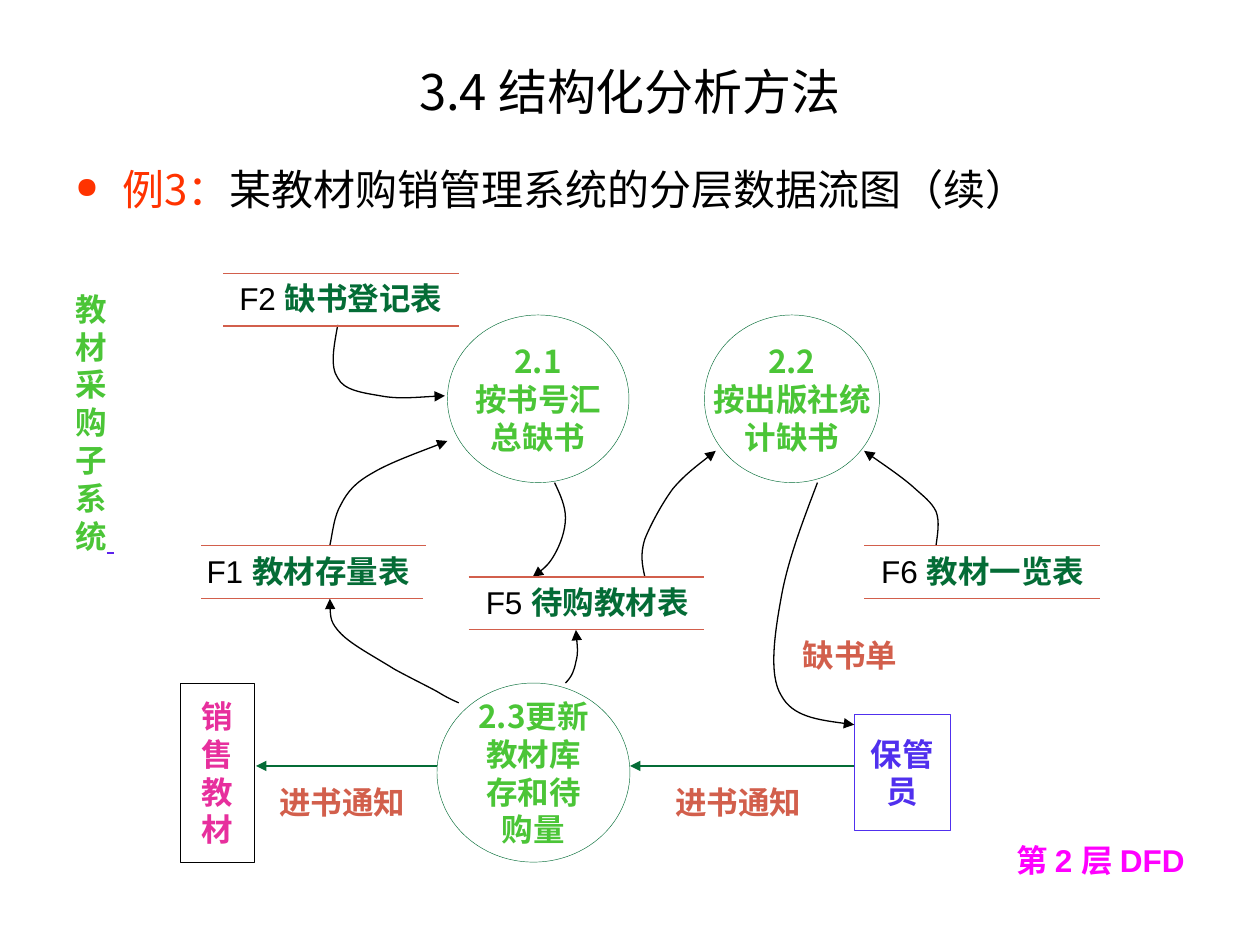
import dataclasses

import pptx
import pptx.dml.color
import pptx.enum.shapes
import pptx.enum.text
import pptx.oxml
import pptx.oxml.ns
import pptx.util

Cm = pptx.util.Cm
Align = pptx.enum.text.PP_ALIGN
Anchor = pptx.enum.text.MSO_ANCHOR
Preset = pptx.enum.shapes.MSO_SHAPE


@dataclasses.dataclass(frozen=True)
class Theme:
    latin: str = "Arial"
    chinese: str = "Noto Sans CJK SC"
    title_size: int = 28
    body_size: int = 24
    label_size: int = 18
    hairline: float = 0.25
    line: float = 0.75
    black: str = "000000"
    white: str = "FFFFFF"
    process: str = "4BC537"
    store: str = "046C36"
    flow: str = "D25F4C"
    sales: str = "E72F9D"
    keeper: str = "5030EE"
    underline: str = "5C22EC"
    layer: str = "FF00FF"
    accent: str = "FF3300"


THEME = Theme()

TITLE = "3.4 结构化分析方法"
EXAMPLE = [("例3：", THEME.accent), ("某教材购销管理系统的分层数据流图（续）", THEME.black)]
SUBSYSTEM = "教材采购子系统"
LAYER = "第 2 层 DFD"

# preset, (left, top, width, height), outline, text colour, lines
NODES = [
    (Preset.OVAL, (8.81, 13.77, 3.89, 3.61), THEME.store, THEME.process,
     ["2.3更新", "教材库", "存和待", "购量"]),
    (Preset.RECTANGLE, (3.63, 13.77, 1.5, 3.61), THEME.black, THEME.sales,
     ["销", "售", "教", "材"]),
    (Preset.OVAL, (9.02, 6.35, 3.66, 3.38), THEME.store, THEME.process,
     ["2.1", "按书号汇", "总缺书"]),
    (Preset.OVAL, (14.2, 6.35, 3.53, 3.38), THEME.store, THEME.process,
     ["2.2", "按出版社统", "计缺书"]),
    (Preset.RECTANGLE, (17.22, 14.4, 1.93, 2.34), THEME.keeper, THEME.keeper,
     ["保管", "员"]),
]

# code, name, left, top, upper line, lower line, text centre
STORES = [
    ("F1", "教材存量表", 4.06, 11, 4.52, 4.47, 6.21),
    ("F5", "待购教材表", 9.45, 11.63, 4.75, 4.75, 11.84),
    ("F6", "教材一览表", 17.42, 11, 4.75, 4.75, 19.81),
    ("F2", "缺书登记表", 4.5, 5.51, 4.75, 4.75, 6.87),
]
STORE_HEIGHT = 1.06
STORE_TEXT_WIDTH = 6.1

FLOW_LABELS = [("缺书单", 15.93, 12.7, 2.41), ("进书通知", 5.38, 15.67, 3.05),
               ("进书通知", 13.36, 15.67, 3.05)]
NOTICE_Y = 15.44
NOTICE_ARROWS = [(8.81, 5.16), (17.22, 12.7)]

# Start point, then two control points and an end point for each curve segment
CURVES = [
    [(6.65, 11), (6.71, 10.72), (6.73, 10.41), (6.88, 10.16), (7.01, 9.91), (7.16, 9.73),
     (7.52, 9.53), (7.87, 9.32), (8.79, 8.99), (9.02, 8.89)],
    [(6.81, 6.55), (6.73, 6.99), (6.65, 7.39), (6.81, 7.62), (6.93, 7.87), (7.32, 7.92),
     (7.67, 7.98), (8.03, 8.05), (8.48, 8), (8.97, 7.98)],
    [(11.18, 9.73), (11.3, 9.98), (11.4, 10.21), (11.4, 10.44), (11.4, 10.69), (11.3, 10.97),
     (11.18, 11.18), (11.07, 11.37), (10.92, 11.51), (10.74, 11.63)],
    [(13, 11.63), (12.95, 11.4), (12.9, 11.18), (13, 10.87), (13.11, 10.59), (13.34, 10.16),
     (13.56, 9.86), (13.79, 9.58), (14.27, 9.22), (14.43, 9.09)],
    [(18.87, 11), (18.9, 10.77), (18.95, 10.52), (18.87, 10.31), (18.77, 10.11), (18.62, 10.01),
     (18.39, 9.8), (18.16, 9.6), (17.6, 9.22), (17.42, 9.09)],
    [(16.48, 9.73), (16.18, 10.52), (15.88, 11.3), (15.75, 12.04), (15.62, 12.75), (15.49, 13.61),
     (15.75, 14.02), (15.98, 14.45), (16.61, 14.53), (17.22, 14.61)],
    [(9.25, 14.17), (9.14, 14.12), (9.02, 14.07), (8.81, 13.94), (8.59, 13.82), (8.28, 13.67),
     (7.95, 13.49), (7.62, 13.28), (7.09, 13), (6.88, 12.78), (6.65, 12.55), (6.65, 12.29),
     (6.65, 12.07)],
    [(11.4, 13.77), (11.53, 13.64), (11.58, 13.51), (11.61, 13.34), (11.66, 13.16),
     (11.63, 12.93), (11.61, 12.7)],
]


def color(value):
    return pptx.dml.color.RGBColor.from_string(value)


def add_element(parent, tag, **attributes):
    element = pptx.oxml.parse_xml(f"<{tag} {pptx.oxml.ns.nsdecls('a')}/>")
    for name, value in attributes.items():
        element.set(name, value)
    parent.append(element)
    return element


def add_run(paragraph, text, run_color, size=THEME.label_size, bold=True, font=THEME.chinese):
    run = paragraph.add_run()
    run.text = text
    run.font.name = font
    run.font.size = pptx.util.Pt(size)
    run.font.bold = bold
    run.font.color.rgb = color(run_color)
    add_element(run.font._element, "a:ea", typeface=THEME.chinese)
    return run


def add_text_box(slide, box, wrap=True, align=Align.LEFT, anchor=Anchor.TOP):
    """Add an empty text box and return its first paragraph."""
    frame = slide.shapes.add_textbox(*map(Cm, box)).text_frame
    frame.word_wrap = wrap
    frame.vertical_anchor = anchor
    frame.paragraphs[0].alignment = align
    return frame.paragraphs[0]


def style_line(shape, line_color, arrow=False):
    shape.line.color.rgb = color(line_color)
    shape.line.width = pptx.util.Pt(THEME.line)
    if arrow:
        add_element(shape.line._get_or_add_ln(), "a:tailEnd", type="triangle")


def add_line(slide, start, end, line_color, arrow=False):
    connector = slide.shapes.add_connector(
        pptx.enum.shapes.MSO_CONNECTOR.STRAIGHT, *map(Cm, (*start, *end)))
    style_line(connector, line_color, arrow)
    add_element(connector._element.spPr, "a:effectLst")


def add_curve(slide, points):
    """Draw a cubic curve by merging each three straight segments into one."""
    start, *rest = [(Cm(x), Cm(y)) for x, y in points]
    builder = slide.shapes.build_freeform(*start)
    builder.add_line_segments(rest, close=False)
    shape = builder.convert_to_shape()
    segments = shape._element.findall(".//" + pptx.oxml.ns.qn("a:lnTo"))
    outline = segments[0].getparent()
    for first in range(0, len(segments), 3):
        curve = add_element(outline, "a:cubicBezTo")
        for segment in segments[first:first + 3]:
            curve.append(segment[0])
            outline.remove(segment)
    shape.fill.background()
    shape.shadow.inherit = False
    style_line(shape, THEME.black, arrow=True)


def add_node(slide, preset, box, outline, text_color, lines):
    shape = slide.shapes.add_shape(preset, *map(Cm, box))
    shape.shadow.inherit = False
    shape.fill.solid()
    shape.fill.fore_color.rgb = color(THEME.white)
    shape.line.color.rgb = color(outline)
    shape.line.width = pptx.util.Pt(THEME.hairline)
    frame = shape.text_frame
    frame.word_wrap = False
    frame.vertical_anchor = Anchor.MIDDLE
    for index, text in enumerate(lines):
        paragraph = frame.add_paragraph() if index else frame.paragraphs[0]
        paragraph.alignment = Align.CENTER
        add_run(paragraph, text, text_color)


def add_store(slide, code, name, left, top, upper, lower, centre):
    for y, width in ((top, upper), (top + STORE_HEIGHT, lower)):
        add_line(slide, (left, y), (left + width, y), THEME.flow)
    box = (centre - STORE_TEXT_WIDTH / 2, top, STORE_TEXT_WIDTH, 1.02)
    paragraph = add_text_box(slide, box, align=Align.CENTER)
    add_run(paragraph, code + " ", THEME.black, bold=False, font=THEME.latin)
    add_run(paragraph, name, THEME.store)


def add_headings(slide):
    paragraph = add_text_box(slide, (1.27, 0.84, 22.86, 1.98), align=Align.CENTER,
                             anchor=Anchor.MIDDLE)
    add_run(paragraph, TITLE, THEME.black, THEME.title_size, bold=False)

    paragraph = add_text_box(slide, (1.27, 3.18, 22.86, 13.77))
    properties = paragraph._p.get_or_add_pPr()
    properties.set("marL", str(Cm(0.95)))
    properties.set("indent", str(-Cm(0.95)))
    add_element(add_element(properties, "a:buClr"), "a:srgbClr", val=THEME.accent)
    add_element(properties, "a:buSzPct", val="70000")
    add_element(properties, "a:buChar", char="●")
    for text, run_color in EXAMPLE:
        add_run(paragraph, text, run_color, THEME.body_size, bold=False)


def main():
    presentation = pptx.Presentation()
    presentation.slide_width, presentation.slide_height = Cm(25.4), Cm(19.05)
    slide = presentation.slides.add_slide(presentation.slide_layouts[6])

    paragraph = add_text_box(slide, (1.27, 5.72, 1.57, 5.59))
    add_run(paragraph, SUBSYSTEM, THEME.process)
    add_run(paragraph, " ", THEME.underline).font.underline = True
    paragraph = add_text_box(slide, (19.38, 16.71, 5.61, 1.27), False, Align.CENTER, Anchor.MIDDLE)
    add_run(paragraph, LAYER, THEME.layer, font=THEME.latin)

    for node in NODES:
        add_node(slide, *node)
    for text, left, top, width in FLOW_LABELS:
        add_run(add_text_box(slide, (left, top, width, 1.02), wrap=False), text, THEME.flow)
    for start, end in NOTICE_ARROWS:
        add_line(slide, (start, NOTICE_Y), (end, NOTICE_Y), THEME.store, arrow=True)
    for points in CURVES:
        add_curve(slide, points)
    for store in STORES:
        add_store(slide, *store)
    add_headings(slide)
    presentation.save("out.pptx")


if __name__ == "__main__":
    main()
